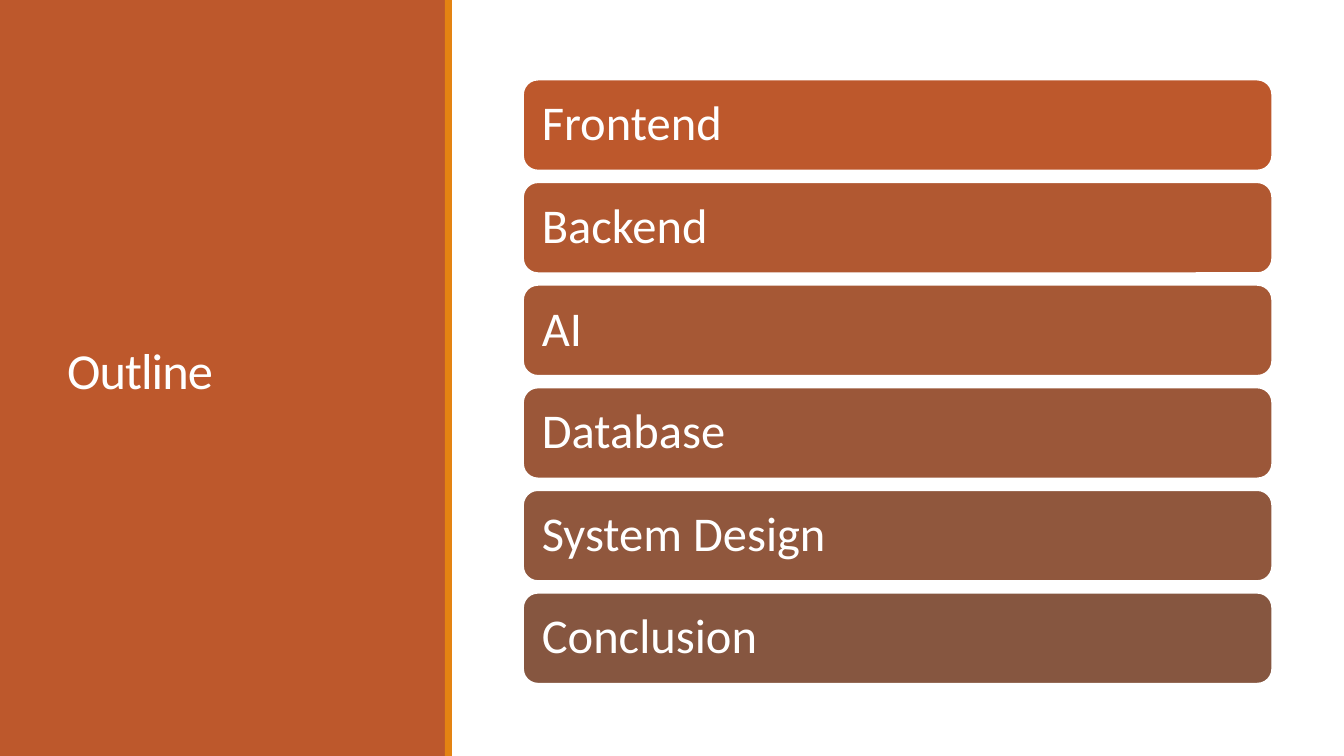
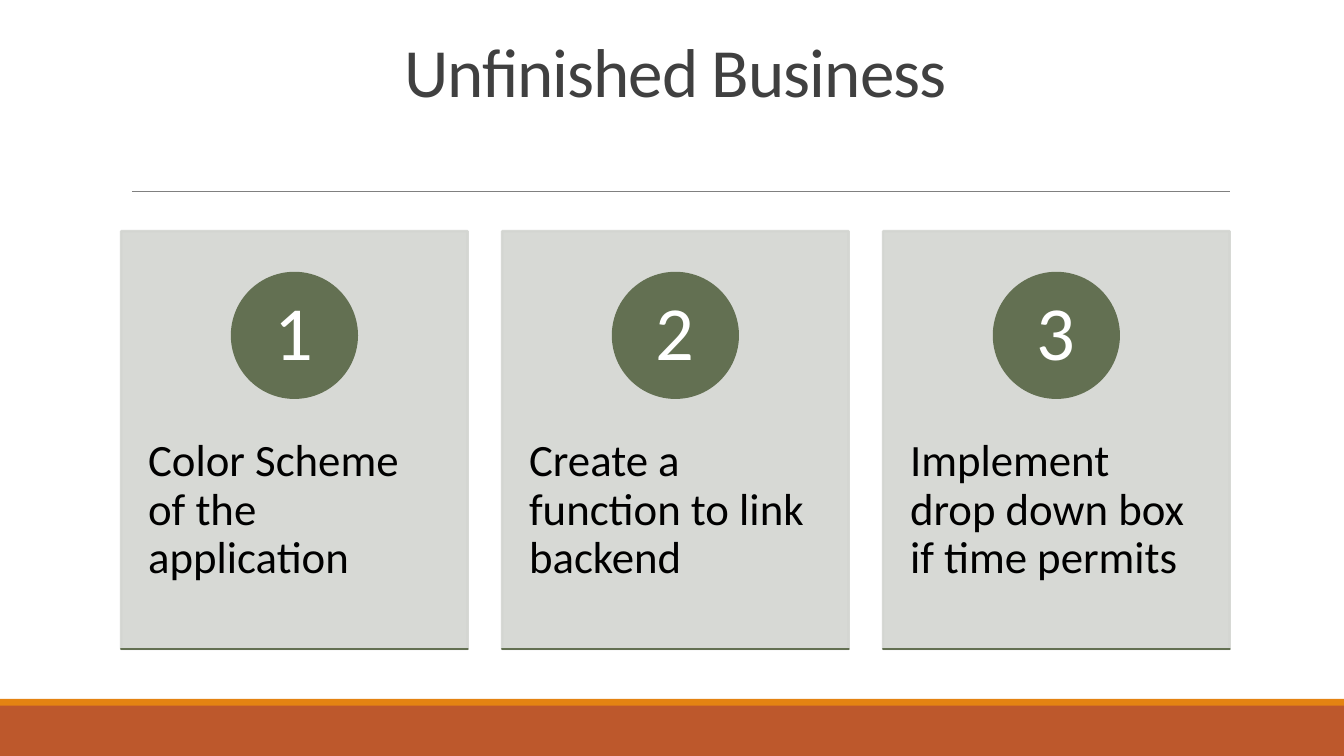
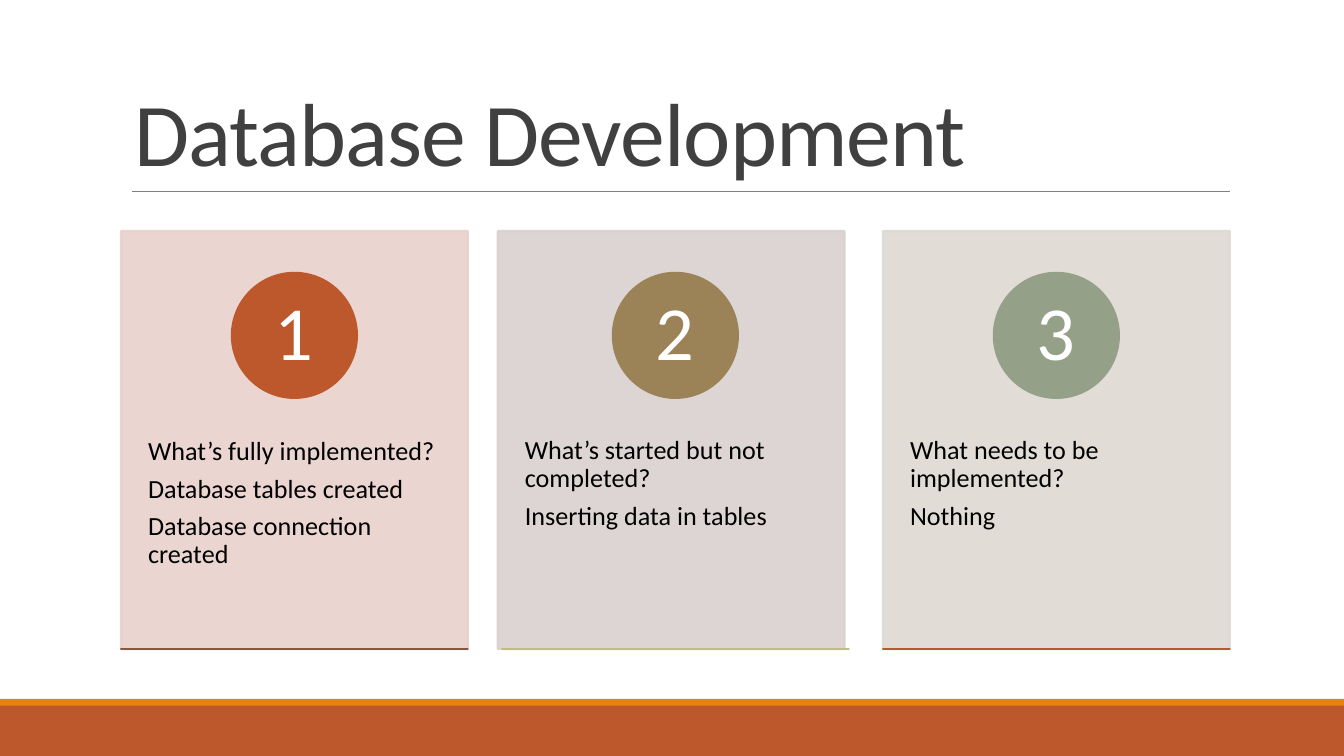
from lxml.etree import SubElement
from pptx import Presentation
from pptx.dml.color import RGBColor
from pptx.enum.shapes import MSO_CONNECTOR, MSO_SHAPE
from pptx.enum.text import MSO_ANCHOR as ANCHOR, PP_ALIGN as ALIGN
from pptx.oxml.ns import qn
from pptx.util import Cm, Pt

FONT = "Calibri"
WHITE = RGBColor(0xFF, 0xFF, 0xFF)
BLACK = RGBColor(0x00, 0x00, 0x00)
DARK_GRAY = RGBColor(0x40, 0x40, 0x40)
RULE_GRAY = RGBColor(0x80, 0x80, 0x80)
RUST = RGBColor(0xBD, 0x58, 0x2C)
ORANGE = RGBColor(0xE4, 0x83, 0x12)
BROWN = RGBColor(0x86, 0x56, 0x40)
OLIVE = RGBColor(0x63, 0x70, 0x52)
TAN = RGBColor(0x9B, 0x83, 0x57)
KHAKI = RGBColor(0xC2, 0xBC, 0x80)
SAGE = RGBColor(0x94, 0xA0, 0x88)
PALE_OLIVE = RGBColor(0xD3, 0xD5, 0xD1)
PALE_RUST = RGBColor(0xE8, 0xD1, 0xCD)
PALE_BROWN = RGBColor(0xD9, 0xD1, 0xCF)
PALE_TAN = RGBColor(0xDE, 0xD9, 0xD1)

SLIDE_WIDTH, SLIDE_HEIGHT = 25.4, 14.29
CARD_LEFT, CARD_TOP, CARD_PITCH = 2.29, 4.37, 7.2
CARD_WIDTH, CARD_HEIGHT = 6.55, 7.9
BADGE_SIZE, BADGE_INSET = 2.36, 0.36

OUTLINE = [
    ("Frontend", RUST),
    ("Backend", RGBColor(0xB1, 0x58, 0x31)),
    ("AI", RGBColor(0xA6, 0x58, 0x35)),
    ("Database", RGBColor(0x9B, 0x57, 0x39)),
    ("System Design", RGBColor(0x90, 0x57, 0x3D)),
    ("Conclusion", BROWN),
]
UNFINISHED = [
    "Color Scheme of the application",
    "Create a function to link backend",
    "Implement drop down box if time permits",
]
DATABASE = [
    (["What’s fully implemented?", "Database tables created",
      "Database connection created"], PALE_RUST, RUST, BROWN, 0),
    (["What’s started but not completed?", "Inserting data in tables"],
     PALE_BROWN, TAN, KHAKI, -0.08),
    (["What needs to be implemented?", "Nothing"], PALE_TAN, SAGE, RUST, 0),
]


def set_alpha(color_format, percent):
    color = color_format._xFill.find(qn("a:srgbClr"))
    SubElement(color, qn("a:alpha"), val=str(percent * 1000))


def add_block(slide, kind, left, top, width, height, fill, line=None, alpha=None):
    shape = slide.shapes.add_shape(kind, Cm(left), Cm(top), Cm(width), Cm(height))
    shape.shadow.inherit = False
    shape.fill.solid()
    shape.fill.fore_color.rgb = fill
    if line is None:
        shape.line.fill.background()
    else:
        shape.line.color.rgb = line
        shape.line.width = Pt(1.25)
    if alpha is not None:
        properties = shape._element.spPr
        for color in properties.iter(qn("a:srgbClr")):
            SubElement(color, qn("a:alpha"), val=str(alpha * 1000))
    return shape


def add_text(slide, lines, left, top, width, height, *, size, color, align=ALIGN.LEFT,
             anchor=ANCHOR.MIDDLE, insets=(0.25, 0.13, 0.25, 0.13),
             line_spacing=0.9, space_after=0, tracking=None):
    box = slide.shapes.add_textbox(Cm(left), Cm(top), Cm(width), Cm(height))
    frame = box.text_frame
    frame.word_wrap = True
    frame.vertical_anchor = anchor
    (frame.margin_left, frame.margin_top,
     frame.margin_right, frame.margin_bottom) = map(Cm, insets)
    for index, line in enumerate(lines):
        paragraph = frame.paragraphs[0] if index == 0 else frame.add_paragraph()
        paragraph.alignment = align
        paragraph.line_spacing = line_spacing
        paragraph.space_after = Pt(space_after)
        run = paragraph.add_run()
        run.text = line
        run.font.name = FONT
        run.font.size = Pt(size)
        run.font.color.rgb = color
        if tracking is not None:
            run.font._element.set("spc", str(int(tracking * 100)))


def add_title(slide, title, left, top, width, height, **options):
    add_text(slide, [title], left, top, width, height,
             line_spacing=0.85, tracking=-0.5, **options)


def add_rule(slide, left, right, y):
    rule = slide.shapes.add_connector(
        MSO_CONNECTOR.STRAIGHT, Cm(left), Cm(y), Cm(right), Cm(y))
    rule.line.color.rgb = RULE_GRAY
    rule.line.width = Pt(0.5)
    SubElement(rule._element.spPr, qn("a:effectLst"))


def add_slide(presentation):
    return presentation.slides.add_slide(presentation.slide_layouts[6])


def add_card_slide(presentation, title, **title_options):
    slide = add_slide(presentation)
    add_block(slide, MSO_SHAPE.RECTANGLE, 0, 13.33, SLIDE_WIDTH, 0.96, RUST)
    add_block(slide, MSO_SHAPE.RECTANGLE, 0, 13.21, SLIDE_WIDTH, 0.13, ORANGE)
    add_rule(slide, 2.49, 23.24, 3.62)
    add_title(slide, title, CARD_LEFT, 0.61, 20.95, 3.02,
              color=DARK_GRAY, anchor=ANCHOR.BOTTOM, **title_options)
    return slide


def add_card(slide, index, lines, size, panel, badge, underline, panel_shift=0):
    left = CARD_LEFT + index * CARD_PITCH
    panel_left = left + panel_shift
    add_block(slide, MSO_SHAPE.RECTANGLE, panel_left, CARD_TOP, CARD_WIDTH, CARD_HEIGHT,
              panel, line=panel, alpha=90)
    add_text(slide, lines, panel_left, CARD_TOP + 3, CARD_WIDTH, 4.72, size=size,
             color=BLACK, anchor=ANCHOR.TOP, insets=(0.51, 0.91, 0.51, 0.91),
             space_after=round(size * 0.35))
    badge_left = left + (CARD_WIDTH - BADGE_SIZE) / 2
    badge_top = CARD_TOP + 0.79
    add_block(slide, MSO_SHAPE.OVAL, badge_left, badge_top, BADGE_SIZE, BADGE_SIZE,
              badge, line=badge)
    number_size = BADGE_SIZE - 2 * BADGE_INSET
    add_text(slide, [str(index + 1)], badge_left + BADGE_INSET, badge_top + BADGE_INSET,
             number_size, number_size, size=41, color=WHITE, align=ALIGN.CENTER,
             insets=(0.18, 0.03, 0.18, 0.03))
    add_block(slide, MSO_SHAPE.RECTANGLE, left, CARD_TOP + CARD_HEIGHT, CARD_WIDTH, 0,
              underline, line=underline)


def add_outline_slide(presentation):
    slide = add_slide(presentation)
    add_block(slide, MSO_SHAPE.RECTANGLE, 0, 0, 8.43, SLIDE_HEIGHT, RUST)
    add_title(slide, "Outline", 1.02, 1.07, 6.43, 12.01, size=27, color=WHITE)
    add_block(slide, MSO_SHAPE.RECTANGLE, 8.41, 0, 0.13, SLIDE_HEIGHT, ORANGE)
    for index, (topic, fill) in enumerate(OUTLINE):
        top = 1.5 + index * 1.94
        add_block(slide, MSO_SHAPE.ROUNDED_RECTANGLE, 9.88, top, 14.17, 1.73,
                  fill, line=WHITE)
        add_text(slide, [topic], 9.96, top + 0.08, 14, 1.57, size=26, color=WHITE,
                 insets=(0.28, 0.28, 0.28, 0.28))


def add_unfinished_slide(presentation):
    slide = add_card_slide(presentation, "Unfinished Business", size=37,
                           align=ALIGN.CENTER, insets=(0.25, 0, 0.25, 1.7))
    for index, task in enumerate(UNFINISHED):
        add_card(slide, index, [task], 24, PALE_OLIVE, OLIVE, OLIVE)


def add_database_slide(presentation):
    slide = add_card_slide(presentation, "Database Development", size=48)
    for index, (lines, panel, badge, underline, shift) in enumerate(DATABASE):
        add_card(slide, index, lines, 14, panel, badge, underline, shift)


def main():
    presentation = Presentation()
    presentation.slide_width = Cm(SLIDE_WIDTH)
    presentation.slide_height = Cm(SLIDE_HEIGHT)
    add_outline_slide(presentation)
    add_unfinished_slide(presentation)
    add_database_slide(presentation)
    presentation.save("out.pptx")


if __name__ == "__main__":
    main()
